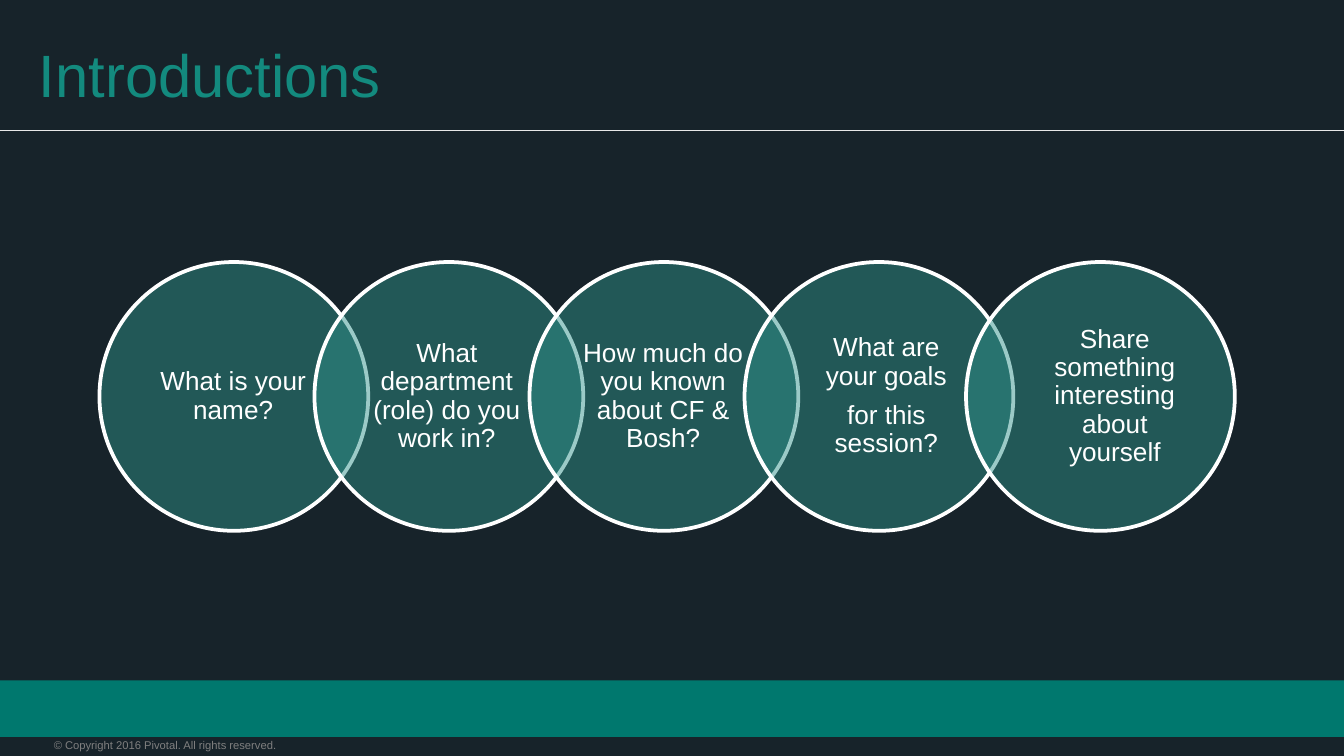
from lxml.etree import SubElement
from pptx import Presentation
from pptx.dml.color import RGBColor
from pptx.enum.shapes import MSO_CONNECTOR as Connector, MSO_SHAPE as Shape
from pptx.enum.text import MSO_ANCHOR as Anchor, MSO_AUTO_SIZE as AutoSize, PP_ALIGN as Align
from pptx.oxml.ns import qn
from pptx.util import Inches, Pt

WIDTH = 10
HEIGHT = WIDTH * 9 / 16
DIAMETER, STEP = 2, 1.6
CIRCLE_LEFT, CIRCLE_TOP = 0.74, 1.95
LABEL_HEIGHT = 1.41
QUESTIONS = [
    (0, 1.03, 1.41, ["What is your name?"]),
    (1, 2.57, 1.51, ["What department (role) do you work in?"]),
    (2, 4.22, 1.43, ["How much do you known about CF & Bosh?"]),
    (3, 5.89, 1.41, ["What are your goals", "for this session?"]),
    (4.03, 7.59, 1.41, ["Share something interesting about yourself"]),
]


def color(value):
    return RGBColor.from_string(value)


def fill_solid(shape, value, alpha=None):
    shape.fill.solid()
    shape.fill.fore_color.rgb = color(value)
    if alpha is not None:
        tint = shape._element.spPr.find(qn("a:solidFill"))[0]
        SubElement(tint, qn("a:alpha")).set("val", str(alpha * 1000))


def set_frame(frame, anchor, side, top):
    frame.word_wrap = True
    frame.auto_size = AutoSize.NONE
    frame.vertical_anchor = anchor
    frame.margin_left = frame.margin_right = Inches(side)
    frame.margin_top = frame.margin_bottom = Inches(top)


def add_span(para, text, size, value):
    span = para.add_run()
    span.text = text
    span.font.name = "Arial"
    span.font.size = Pt(size)
    span.font.color.rgb = color(value)


def add_band(page):
    band = page.shapes.add_shape(
        Shape.RECTANGLE, 0, Inches(0.9 * HEIGHT), Inches(WIDTH), Inches(0.42))
    band.shadow.inherit = False
    fill_solid(band, "00786E")
    band.line.fill.background()


def add_copyright(page):
    box = page.shapes.add_textbox(Inches(0.4), Inches(5.49), Inches(2.49), Inches(0.1))
    set_frame(box.text_frame, Anchor.TOP, 0, 0)
    add_span(box.text_frame.paragraphs[0],
             "© Copyright 2016 Pivotal. All rights reserved.", 6, "7F7F7F")


def add_rule(page):
    rule = page.shapes.add_connector(
        Connector.STRAIGHT, 0, Inches(0.97), Inches(WIDTH), Inches(0.97))
    rule.line.color.rgb = color("E8E8E8")
    rule.line.width = Pt(0.75)
    SubElement(rule._element.spPr, qn("a:effectLst"))


def set_title(page, text):
    title = page.shapes.title
    title.left, title.top = Inches(0.19), Inches(0.35)
    title.width, title.height = Inches(9.55), Inches(0.4)
    set_frame(title.text_frame, Anchor.MIDDLE, 0.1, 0.1)
    para = title.text_frame.paragraphs[0]
    para.alignment = Align.LEFT
    add_span(para, text, 32, "138A7E")


def add_circle(page, column):
    circle = page.shapes.add_shape(
        Shape.OVAL, Inches(CIRCLE_LEFT + column * STEP), Inches(CIRCLE_TOP),
        Inches(DIAMETER), Inches(DIAMETER))
    circle.shadow.inherit = False
    fill_solid(circle, "30928A", 48)
    circle.line.color.rgb = color("FFFFFF")
    circle.line.width = Pt(2)


def add_label(page, left, width, lines):
    top = CIRCLE_TOP + (DIAMETER - LABEL_HEIGHT) / 2
    box = page.shapes.add_textbox(
        Inches(left), Inches(top), Inches(width), Inches(LABEL_HEIGHT))
    frame = box.text_frame
    set_frame(frame, Anchor.MIDDLE, 0.11, 0.02)
    for index, line in enumerate(lines):
        para = frame.add_paragraph() if index else frame.paragraphs[0]
        para.alignment = Align.CENTER
        para.line_spacing = 0.9
        if index:
            para.space_before = Pt(6)
        add_span(para, line, 14, "FFFFFF")


def main():
    deck = Presentation()
    deck.slide_width, deck.slide_height = Inches(WIDTH), Inches(HEIGHT)
    page = deck.slides.add_slide(deck.slide_layouts.get_by_name("Title Only"))
    fill_solid(page.background, "17232A")
    add_band(page)
    add_copyright(page)
    add_rule(page)
    set_title(page, "Introductions")
    for column, left, width, lines in QUESTIONS:
        add_circle(page, column)
        add_label(page, left, width, lines)
    deck.save("out.pptx")


if __name__ == "__main__":
    main()
